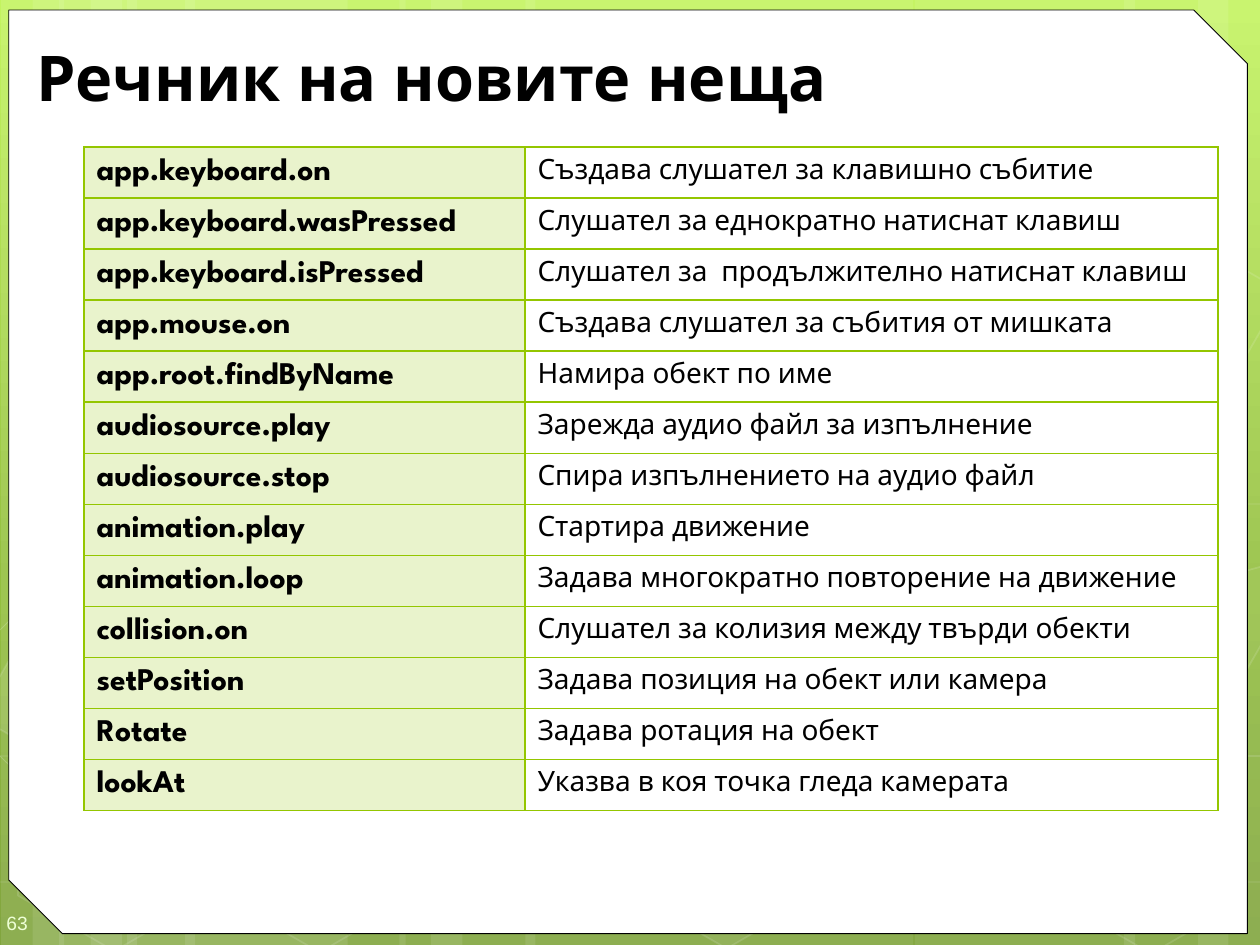
from copy import deepcopy
from math import cos, radians, sin

from pptx import Presentation
from pptx.dml.color import RGBColor
from pptx.enum.shapes import MSO_SHAPE
from pptx.enum.text import MSO_ANCHOR
from pptx.oxml import parse_xml
from pptx.oxml.ns import nsdecls, qn
from pptx.util import Inches, Pt

RECT = MSO_SHAPE.RECTANGLE
HEX = MSO_SHAPE.HEXAGON
SNIP = MSO_SHAPE.SNIP_2_DIAG_RECTANGLE
MIDDLE = MSO_ANCHOR.MIDDLE

WHITE = RGBColor(0xFF, 0xFF, 0xFF)
BLACK = RGBColor(0, 0, 0)
GREEN = RGBColor(0x94, 0xC6, 0x00)
PALE = RGBColor(0xEE, 0xFF, 0xD6)
LIME = RGBColor(0xC3, 0xF3, 0x5F)
LEAF = RGBColor(0x93, 0xBF, 0x3F)
MOSS = RGBColor(0x81, 0xA5, 0x3E)

TILT = 30

BANDS = [
    (1.01, 1.75), (0.01, 0.5), (0.26, 0.83),
    (1.47, 1.75), (0.47, 0.5), (0.72, 0.83),
    (7.26, 1.75), (9.51, 0.5), (8.92, 0.83),
    (4.17, 3.08), (3.17, 0.5), (3.42, 0.83),
]

CURVES = [
    [(-0.01, 6.73), (0.53, 6.76), (1.07, 6.79), (1.83, 6.78),
     (2.58, 6.77), (3.5, 6.75), (4.5, 6.65), (5.5, 6.55), (6.92, 6.36),
     (7.84, 6.17), (8.75, 5.98), (9.69, 5.68), (9.99, 5.51)],
    [(-0.01, 4.77), (0.28, 4.61), (0.57, 4.46), (1.14, 4.31),
     (1.7, 4.16), (2.51, 3.94), (3.4, 3.87), (4.28, 3.8), (5.36, 3.79),
     (6.46, 3.87), (7.56, 3.95), (9.39, 4.26), (9.99, 4.34)],
    [(-0.02, 6.17), (1.19, 6.72), (2.39, 7.27), (3.27, 7.49)],
    [(-0.01, 5.78), (0.31, 5.89), (0.62, 6), (1.2, 6.16),
     (1.78, 6.31), (2.65, 6.56), (3.49, 6.73), (4.32, 6.9), (5.38, 7.08),
     (6.2, 7.18), (7.03, 7.29), (7.92, 7.33), (8.45, 7.36), (8.98, 7.4),
     (9.11, 7.38), (9.37, 7.38), (9.63, 7.37), (9.81, 7.35), (9.99, 7.34)],
    [(2.35, 7.49), (2.52, 7.29), (2.7, 7.09), (2.94, 6.91),
     (3.18, 6.73), (3.52, 6.53), (3.8, 6.39), (4.08, 6.25), (4.25, 6.19),
     (4.62, 6.09), (4.99, 5.99), (5.66, 5.85), (6.01, 5.78), (6.36, 5.71),
     (6.41, 5.71), (6.72, 5.69), (7.03, 5.66), (7.52, 5.63), (7.86, 5.62),
     (8.21, 5.61), (8.79, 5.62), (8.79, 5.62), (9.01, 5.62), (9.23, 5.62),
     (9.45, 5.62), (9.63, 5.63), (9.8, 5.64), (9.89, 5.65), (9.98, 5.66),
     (9.95, 5.65), (9.98, 5.66)],
]

CELLS = [
    (3.28, 3.13, 10, 12), (4.08, 4.51, 0, 12), (4.09, 1.74, 7, 8),
    (3.26, 0.36, 4, 8), (4.89, 5.89, 6, 12), (0.03, 5.91, 0, 12),
    (0.07, 3.12, 7, 8), (0.86, 4.51, 0, 12), (1.66, 5.92, 0, 12),
    (1.68, 3.13, 7, 8), (0.88, 1.71, 0, 12), (7.45, 4.53, 10, 12),
    (8.26, 5.93, 0, 12), (8.26, 3.14, 7, 8),
]

EDGES = [
    ([(0, 4.45), (0.11, 4.38), (0.88, 4.82), (0.88, 5.7), (0.12, 6.14),
      (0.01, 6.07)], (0.28, 5.35), 10),
    ([(9.18, 4.85), (9.94, 4.41), (10.01, 4.46), (10.01, 6.13),
      (9.94, 6.17), (9.18, 5.73)], (9.77, 5.2), 4),
    ([(9.18, 2.07), (9.94, 1.63), (10.02, 1.68), (10.01, 3.35),
      (9.94, 3.39), (9.18, 2.95)], (9.77, 2.41), 0),
]

TERMS = [
    ("app.keyboard.on", "Създава слушател за клавишно събитие"),
    ("app.keyboard.wasPressed", "Слушател за еднократно натиснат клавиш"),
    ("app.keyboard.isPressed", "Слушател за  продължително натиснат клавиш"),
    ("app.mouse.on", "Създава слушател за събития от мишката"),
    ("app.root.findByName", "Намира обект по име"),
    ("audiosource.play", "Зарежда аудио файл за изпълнение"),
    ("audiosource.stop", "Спира изпълнението на аудио файл"),
    ("animation.play", "Стартира движение"),
    ("animation.loop", "Задава многократно повторение на движение"),
    ("collision.on", "Слушател за колизия между твърди обекти"),
    ("setPosition", "Задава позиция на обект или камера"),
    ("Rotate", "Задава ротация на обект"),
    ("lookAt", "Указва в коя точка гледа камерата"),
]


def fade(node, share):
    color = node.find(f"{qn('a:solidFill')}/{qn('a:srgbClr')}")
    color.append(parse_xml(f'<a:alpha {nsdecls("a")} val="{share * 1000}"/>'))


def level(spots, hub):
    c, s = cos(radians(TILT)), sin(radians(TILT))
    gaps = [(x - hub[0], y - hub[1]) for x, y in spots]
    return [(hub[0] + x * c + y * s, hub[1] + y * c - x * s) for x, y in gaps]


class Deck:
    font = "League Spartan"

    def __init__(self, slide):
        self.slide = slide

    def back(self, stops):
        fill = self.slide.background.fill
        fill.gradient()
        fill.gradient_angle = 270
        row = next(self.slide.element.iter(qn("a:gsLst")))
        row.append(deepcopy(row[0]))
        for stop, (spot, color) in zip(fill.gradient_stops, stops):
            stop.position = spot
            stop.color.rgb = color

    def paint(self, shape, fill, line, width, ink=WHITE):
        shape.shadow.inherit = False
        props = shape.element.spPr
        if fill:
            shape.fill.solid()
            shape.fill.fore_color.rgb = WHITE
            if fill < 100:
                fade(props, fill)
        else:
            shape.fill.background()
        if line:
            shape.line.color.rgb = ink
            shape.line.width = Pt(width)
            if line < 100:
                fade(props.find(qn("a:ln")), line)
        else:
            shape.line.fill.background()

    def shape(self, kind, box, fill, line=0, width=1, ink=WHITE):
        item = self.slide.shapes.add_shape(kind, *map(Inches, box))
        self.paint(item, fill, line, width, ink)
        return item

    def free(self, spots, fill, line, width, close):
        pen = self.slide.shapes.build_freeform(*spots[0], scale=Inches(1))
        pen.add_line_segments(spots[1:], close=close)
        item = pen.convert_to_shape()
        self.paint(item, fill, line, width)
        return item

    def curve(self, knots):
        item = self.free(knots, 0, 20, 0.5, False)
        legs = list(item.element.iter(qn("a:lnTo")))
        for i in range(0, len(legs), 3):
            bend = parse_xml(f'<a:cubicBezTo {nsdecls("a")}/>')
            legs[i].addprevious(bend)
            for leg in legs[i:i + 3]:
                bend.append(leg[0])
                leg.getparent().remove(leg)

    def style(self, part, size, bold=False, color=BLACK, font=None):
        face = part.font
        face.name = font or self.font
        face.size = Pt(size)
        face.bold = bold
        face.color.rgb = color

    def text(self, words, box, size, bold=False, color=BLACK, font=None,
             pads=(0.1, 0.05, 0.1, 0.05)):
        frame = self.slide.shapes.add_textbox(*map(Inches, box)).text_frame
        frame.word_wrap = True
        frame.vertical_anchor = MIDDLE
        (frame.margin_left, frame.margin_top,
         frame.margin_right, frame.margin_bottom) = map(Inches, pads)
        frame.text = words
        self.style(frame.paragraphs[0], size, bold, color, font)

    def cell(self, cell, words, head):
        cell.text = words
        cell.vertical_anchor = MIDDLE
        self.style(cell.text_frame.paragraphs[0], 18 if head else 16, head)
        props = cell._tc.get_or_add_tcPr()
        for side in "LRTB":
            props.append(parse_xml(
                f'<a:ln{side} {nsdecls("a")} w="12700"><a:solidFill>'
                f'<a:srgbClr val="{GREEN}"/></a:solidFill></a:ln{side}>'))
        if head:
            cell.fill.solid()
            cell.fill.fore_color.rgb = GREEN
            fade(props, 20)
        else:
            cell.fill.background()

    def table(self, rows, box, wides):
        grid = self.slide.shapes.add_table(
            len(rows), len(wides), *map(Inches, box)).table
        grid.first_row = grid.horz_banding = False
        for col, wide in zip(grid.columns, wides):
            col.width = Inches(wide)
        for r, row in enumerate(rows):
            for c, words in enumerate(row):
                self.cell(grid.cell(r, c), words, c == 0)


def main():
    show = Presentation()
    show.slide_width, show.slide_height = Inches(10), Inches(7.5)
    deck = Deck(show.slides.add_slide(show.slide_layouts[6]))
    deck.back([(0, LIME), (0.62, LEAF), (1, MOSS)])
    for left, wide in BANDS:
        deck.shape(RECT, (left, 0, wide, 7.5), 10)
    for knots in CURVES:
        deck.curve(knots)
    for left, top, fill, line in CELLS:
        comb = deck.shape(HEX, (left, top, 1.75, 1.52), fill, line)
        comb.adjustments[0] = 0.285
        comb.rotation = TILT
    for spots, hub, fill in EDGES:
        deck.free(level(spots, hub), fill, 12, 1, True).rotation = TILT
    panel = deck.shape(SNIP, (0.07, 0.08, 9.83, 7.33), 100, 100, 0.5, BLACK)
    panel.adjustments[0] = 0
    panel.adjustments[1] = 0.058
    deck.text("63", (0, 7.1, 0.58, 0.4), 11, color=PALE, font="Arial",
              pads=(0.05, 0.15, 0, 0.1))
    deck.text("Речник на новите неща", (0.19, 0.25, 9.47, 0.71), 36, True)
    deck.table(TERMS, (2 / 3, 7 / 6, 9, 5.27), (3.5, 5.5))
    show.save("out.pptx")


if __name__ == "__main__":
    main()
